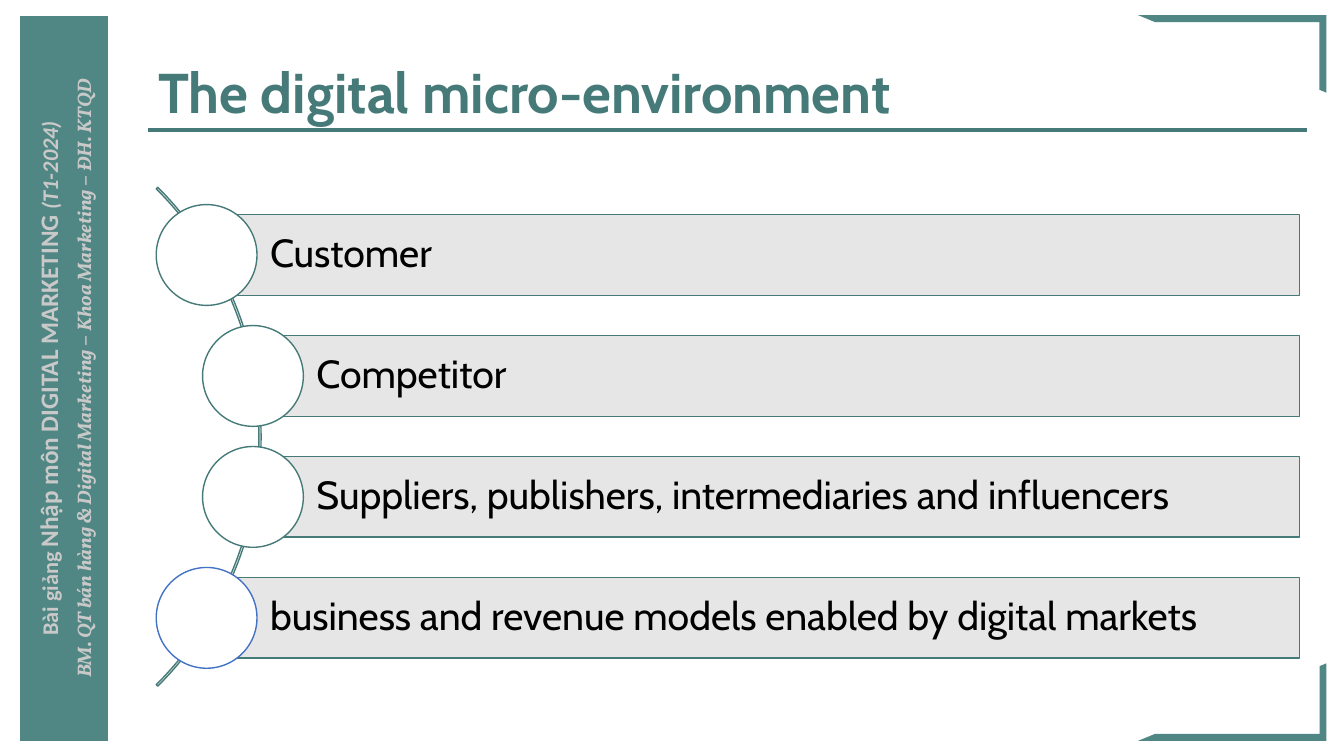
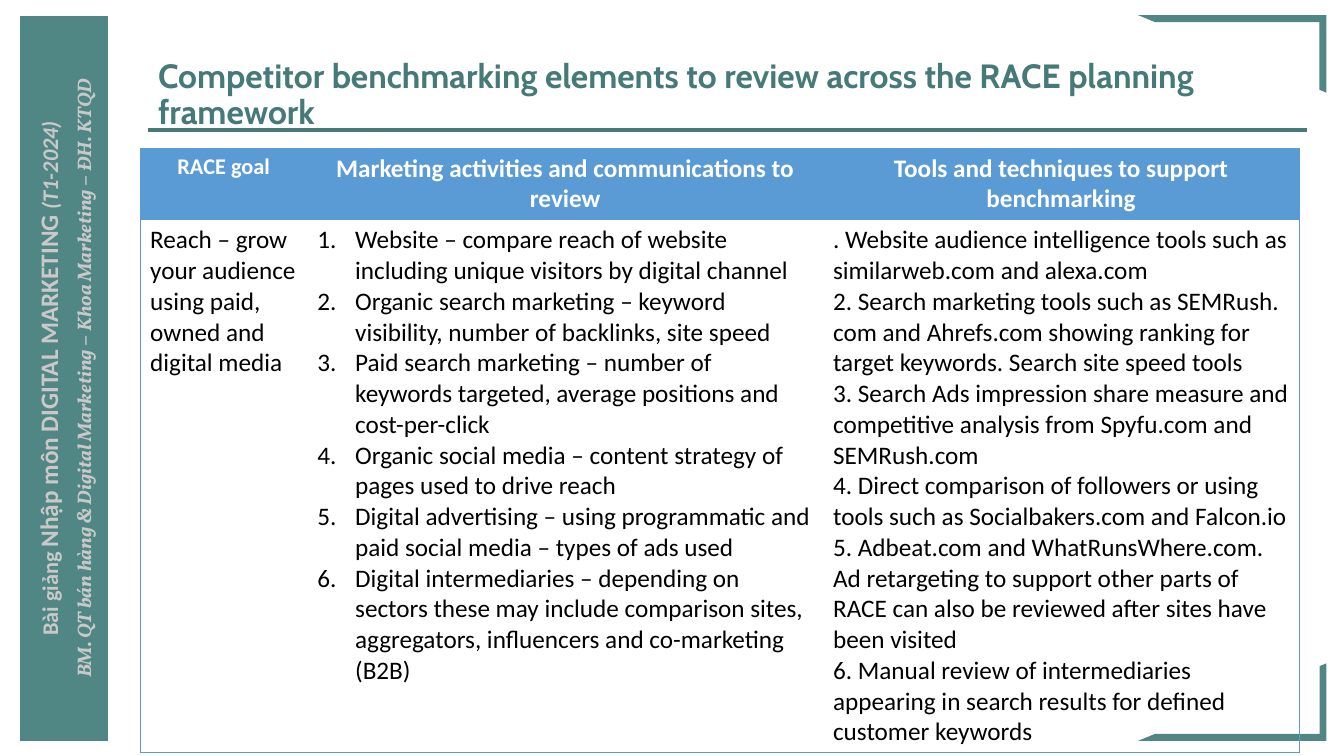
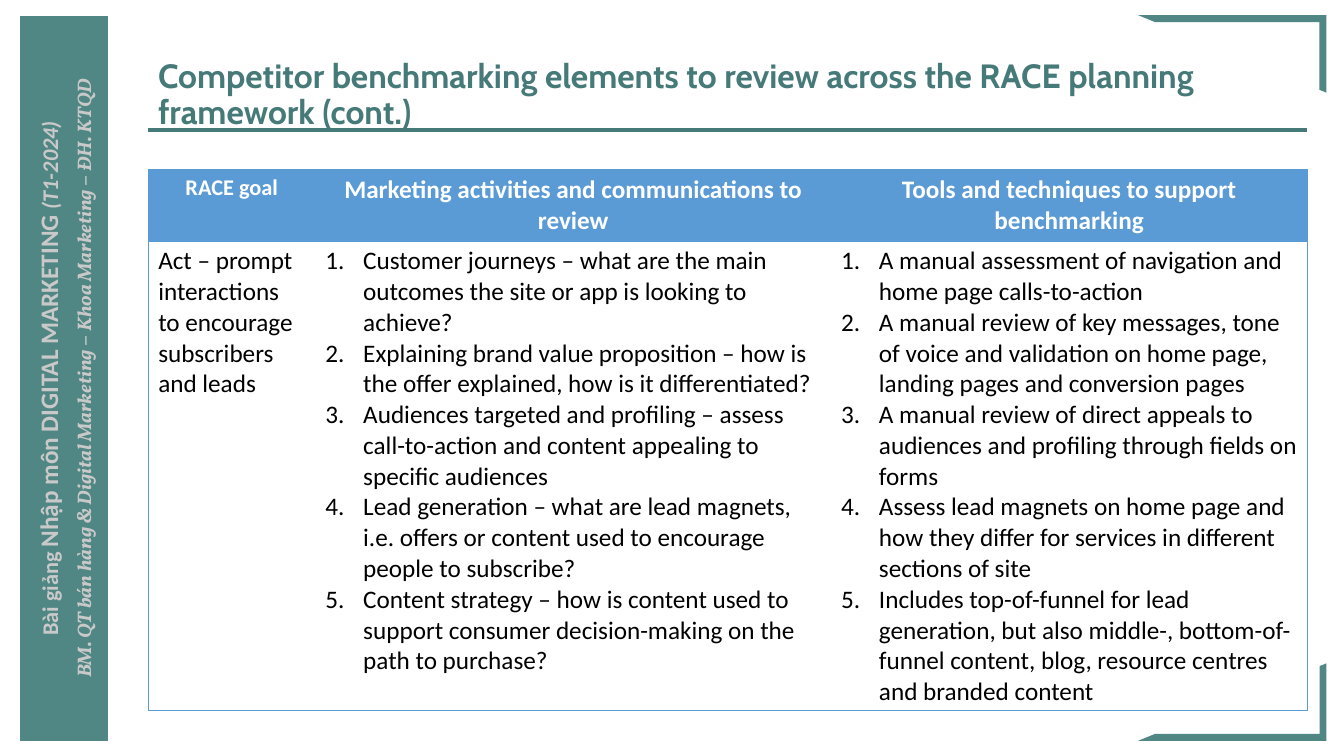
from dataclasses import dataclass
from typing import NamedTuple

from lxml.etree import SubElement
from pptx import Presentation
from pptx.dml.color import RGBColor
from pptx.enum.shapes import MSO_CONNECTOR, MSO_SHAPE
from pptx.enum.text import MSO_ANCHOR, PP_ALIGN
from pptx.oxml import parse_xml
from pptx.oxml.ns import nsdecls, qn
from pptx.shapes.autoshape import Shape
from pptx.slide import Slide
from pptx.table import _Cell as Cell
from pptx.util import Emu, Inches, Pt

GRID_COLUMNS, GRID_ROWS = 160, 90
UNIT = Inches(1) / 12

COLORS = {
    "band": "508784",
    "accent": "467A78",
    "band_text": "C9C9C9",
    "bar": "E7E6E6",
    "last_circle": "4472C4",
    "table": "5B9BD5",
    "white": "FFFFFF",
    "black": "000000",
}


class Box(NamedTuple):
    column: float
    row: float
    columns: float
    rows: float


@dataclass(frozen=True)
class TextStyle:
    size: float
    color: str
    font: str = "Calibri"
    bold: bool = False
    italic: bool = False


@dataclass(frozen=True)
class StyledText:
    text: str
    style: TextStyle


@dataclass(frozen=True)
class Corner:
    row: float
    rotation: float
    flipped: bool


@dataclass(frozen=True)
class Factor:
    text: str
    column: float
    outline: str = "accent"


@dataclass(frozen=True)
class CellText:
    paragraphs: list[str]
    numbered: bool = False


@dataclass(frozen=True)
class Benchmark:
    title: str
    column: float
    row: float
    body_rows: float
    cells: list[CellText]


CONTENT_COLUMN, CONTENT_COLUMNS = 17.64, 138
TITLE_BOX = Box(CONTENT_COLUMN, 4.44, CONTENT_COLUMNS, 13.8)
RULE_ROW = 15.48
BAND_BOX = Box(2.4, 1.92, 10.44, 86.28)
CORNERS = [Corner(78.96, 180, False), Corner(1.8, 0, True)]

BAND_LINES = [
    [
        StyledText("Bài giảng ", TextStyle(16, "band_text", bold=True)),
        StyledText("Nhập môn DIGITAL MARKETING ", TextStyle(18, "band_text", bold=True)),
        StyledText("(T1-2024)", TextStyle(16, "band_text", bold=True, italic=True)),
    ],
    [
        StyledText(
            "BM. QT bán hàng & Digital Marketing – Khoa Marketing – ĐH. KTQD",
            TextStyle(14, "band_text", "Vollkorn", True, True),
        )
    ],
]

ARC_BOX = Box(-52.92, 10, 84, 84)
BAR_RIGHT, BAR_ROW, BAR_ROWS, BAR_STEP = 154.68, 25.56, 9.6, 14.4
CIRCLE = 12
OUTER, INNER = 24.6, 30.12
FACTORS = [
    Factor("Customer", OUTER),
    Factor("Competitor", INNER),
    Factor("Suppliers, publishers, intermediaries and influencers", INNER),
    Factor("business and revenue models enabled by digital markets", OUTER, "last_circle"),
]
FACTOR_STYLE = TextStyle(28, "black", "Cabin")

TABLE_COLUMNS = [19.9, 61.4, 56.7]
HEADER_ROWS = 8.52
NUMBER_INDENT = 4.5
BODY_STYLE = TextStyle(18, "black")
HEADERS = [
    StyledText("RACE goal", TextStyle(16, "white", bold=True)),
    StyledText(
        "Marketing activities and communications to review",
        TextStyle(18, "white", bold=True),
    ),
    StyledText(
        "Tools and techniques to support benchmarking",
        TextStyle(18, "white", bold=True),
    ),
]

BENCHMARKS = [
    Benchmark(
        "Competitor benchmarking elements to review across the RACE planning framework",
        16.68, 17.64, 63.36,
        [
            CellText(["Reach – grow your audience using paid, owned and digital media"]),
            CellText(
                [
                    "Website – compare reach of website including unique visitors by digital channel",
                    "Organic search marketing – keyword visibility, number of backlinks, site speed",
                    "Paid search marketing – number of keywords targeted, average positions and cost-per-click",
                    "Organic social media – content strategy of pages used to drive reach",
                    "Digital advertising – using programmatic and paid social media – types of ads used",
                    "Digital intermediaries – depending on sectors these may include comparison sites, "
                    "aggregators, influencers and co-marketing (B2B)",
                ],
                numbered=True,
            ),
            CellText(
                [
                    ". Website audience intelligence tools such as similarweb.com and alexa.com",
                    "2. Search marketing tools such as SEMRush. com and Ahrefs.com showing ranking "
                    "for target keywords. Search site speed tools",
                    "3. Search Ads impression share measure and competitive analysis from Spyfu.com "
                    "and SEMRush.com",
                    "4. Direct comparison of followers or using tools such as Socialbakers.com and "
                    "Falcon.io 5. Adbeat.com and WhatRunsWhere.com.",
                    "Ad retargeting to support other parts of RACE can also be reviewed after sites "
                    "have been visited",
                    "6. Manual review of intermediaries appearing in search results for defined "
                    "customer keywords",
                ]
            ),
        ],
    ),
    Benchmark(
        "Competitor benchmarking elements to review across the RACE planning framework (cont.)",
        CONTENT_COLUMN, 20.16, 55.92,
        [
            CellText(["Act – prompt interactions\vto encourage subscribers and leads"]),
            CellText(
                [
                    "Customer journeys – what are the main outcomes the site or app is looking to achieve?",
                    "Explaining brand value proposition – how is the offer explained, how is it differentiated?",
                    "Audiences targeted and profiling – assess call-to-action and content appealing "
                    "to specific audiences",
                    "Lead generation – what are lead magnets, i.e. offers or content used to encourage "
                    "people to subscribe?",
                    "Content strategy – how is content used to support consumer decision-making on "
                    "the path to purchase?",
                ],
                numbered=True,
            ),
            CellText(
                [
                    "A manual assessment of navigation and home page calls-to-action",
                    "A manual review of key messages, tone of voice and validation on home page, "
                    "landing pages and conversion pages",
                    "A manual review of direct appeals to audiences and profiling through fields on forms",
                    "Assess lead magnets on home page and how they differ for services in different "
                    "sections of site",
                    "Includes top-of-funnel for lead generation, but also middle-, bottom-of-funnel "
                    "content, blog, resource centres and branded content",
                ],
                numbered=True,
            ),
        ],
    ),
]


def units(count: float) -> Emu:
    return Emu(round(count * UNIT))


def place(box: Box) -> list[Emu]:
    return [units(length) for length in box]


def rgb(name: str) -> RGBColor:
    return RGBColor.from_string(COLORS[name])


def style_run(run, style: TextStyle) -> None:
    font = run.font
    font.name = style.font
    font.size = Pt(style.size)
    font.bold = style.bold
    font.italic = style.italic
    font.color.rgb = rgb(style.color)


def style_paragraph(paragraph, style: TextStyle) -> None:
    for run in paragraph.runs:
        style_run(run, style)


def add_shape(
    slide: Slide, kind: MSO_SHAPE, box: Box, fill: str | None, outline: str | None = None
) -> Shape:
    shape = slide.shapes.add_shape(kind, *place(box))
    shape.shadow.inherit = False
    if fill:
        shape.fill.solid()
        shape.fill.fore_color.rgb = rgb(fill)
    else:
        shape.fill.background()
    if outline:
        shape.line.color.rgb = rgb(outline)
        shape.line.width = Pt(1)
    else:
        shape.line.fill.background()
    return shape


def add_band(slide: Slide) -> None:
    band = add_shape(slide, MSO_SHAPE.RECTANGLE, BAND_BOX, "band")
    band.element.txBody.bodyPr.set("vert", "vert270")
    frame = band.text_frame
    frame.word_wrap = True
    frame.vertical_anchor = MSO_ANCHOR.MIDDLE
    for index, line in enumerate(BAND_LINES):
        paragraph = frame.add_paragraph() if index else frame.paragraphs[0]
        paragraph.alignment = PP_ALIGN.CENTER
        if index:
            paragraph.space_before = Pt(6)
        for part in line:
            run = paragraph.add_run()
            run.text = part.text
            style_run(run, part.style)


def add_corner(slide: Slide, corner: Corner) -> None:
    shape = add_shape(
        slide, MSO_SHAPE.HALF_FRAME, Box(135.48, corner.row, 22.44, 9.24), "band"
    )
    shape.adjustments[0] = 0.09
    shape.adjustments[1] = 0.09
    shape.rotation = corner.rotation
    if corner.flipped:
        shape.element.spPr.xfrm.set("flipH", "1")


def add_title(slide: Slide, title: str, size: float) -> None:
    rule = slide.shapes.add_connector(
        MSO_CONNECTOR.STRAIGHT,
        units(CONTENT_COLUMN),
        units(RULE_ROW),
        units(CONTENT_COLUMN + CONTENT_COLUMNS),
        units(RULE_ROW),
    )
    rule.line.color.rgb = rgb("accent")
    rule.line.width = Pt(2.25)
    SubElement(rule.element.spPr, qn("a:effectLst"))

    frame = slide.shapes.add_textbox(*place(TITLE_BOX)).text_frame
    frame.word_wrap = True
    frame.vertical_anchor = MSO_ANCHOR.MIDDLE
    frame.text = title
    paragraph = frame.paragraphs[0]
    paragraph.line_spacing = 0.9
    style_paragraph(paragraph, TextStyle(size, "accent", "Cabin", True))


def add_slide(presentation, title: str, title_size: float) -> Slide:
    slide = presentation.slides.add_slide(presentation.slide_layouts[6])
    add_band(slide)
    for corner in CORNERS:
        add_corner(slide, corner)
    add_title(slide, title, title_size)
    return slide


def add_factor(slide: Slide, factor: Factor, row: float) -> None:
    bar_box = Box(factor.column, row, BAR_RIGHT - factor.column, BAR_ROWS)
    bar = add_shape(slide, MSO_SHAPE.RECTANGLE, bar_box, "bar", "accent")
    frame = bar.text_frame
    frame.word_wrap = True
    frame.vertical_anchor = MSO_ANCHOR.MIDDLE
    frame.margin_left = units(7.56)
    frame.margin_right = frame.margin_top = frame.margin_bottom = units(1)
    frame.text = factor.text
    paragraph = frame.paragraphs[0]
    paragraph.alignment = PP_ALIGN.LEFT
    paragraph.line_spacing = 0.9
    style_paragraph(paragraph, FACTOR_STYLE)

    circle_box = Box(
        factor.column - CIRCLE / 2, row + (BAR_ROWS - CIRCLE) / 2, CIRCLE, CIRCLE
    )
    add_shape(slide, MSO_SHAPE.OVAL, circle_box, "white", factor.outline)


def add_factors(slide: Slide) -> None:
    arc = add_shape(slide, MSO_SHAPE.BLOCK_ARC, ARC_BOX, None, "accent")
    for index, value in enumerate([189, 27, 0.003]):
        arc.adjustments[index] = value
    for index, factor in enumerate(FACTORS):
        add_factor(slide, factor, BAR_ROW + index * BAR_STEP)


def set_borders(cell: Cell, sides: str) -> None:
    properties = cell._tc.get_or_add_tcPr()
    for position, side in enumerate("LRTB"):
        if side in sides:
            color = COLORS["table"]
            paint = f'<a:solidFill><a:srgbClr val="{color}"/></a:solidFill>'
        else:
            paint = "<a:noFill/>"
        border = f'<a:ln{side} {nsdecls("a")} w="{Pt(0.5)}">{paint}</a:ln{side}>'
        properties.insert(position, parse_xml(border))


def number_paragraph(paragraph) -> None:
    properties = paragraph._p.get_or_add_pPr()
    properties.set("marL", str(units(NUMBER_INDENT)))
    properties.set("indent", str(units(-NUMBER_INDENT)))
    SubElement(properties, qn("a:buFont"), typeface="+mj-lt")
    SubElement(properties, qn("a:buAutoNum"), type="arabicPeriod")


def fill_header(cell: Cell, header: StyledText) -> None:
    cell.fill.solid()
    cell.fill.fore_color.rgb = rgb("table")
    cell.text_frame.text = header.text
    paragraph = cell.text_frame.paragraphs[0]
    paragraph.alignment = PP_ALIGN.CENTER
    style_paragraph(paragraph, header.style)


def fill_body(cell: Cell, content: CellText) -> None:
    cell.fill.background()
    frame = cell.text_frame
    for index, text in enumerate(content.paragraphs):
        paragraph = frame.add_paragraph() if index else frame.paragraphs[0]
        paragraph.text = text
        if content.numbered:
            number_paragraph(paragraph)
        style_paragraph(paragraph, BODY_STYLE)


def add_benchmark(slide: Slide, benchmark: Benchmark) -> None:
    heights = [HEADER_ROWS, benchmark.body_rows]
    box = Box(benchmark.column, benchmark.row, sum(TABLE_COLUMNS), sum(heights))
    table = slide.shapes.add_table(2, len(TABLE_COLUMNS), *place(box)).table
    table.first_row = table.horz_banding = False
    for row, height in zip(table.rows, heights):
        row.height = units(height)
    for index, width in enumerate(TABLE_COLUMNS):
        table.columns[index].width = units(width)
        fill_header(table.cell(0, index), HEADERS[index])
        fill_body(table.cell(1, index), benchmark.cells[index])
        edge = {0: "L", len(TABLE_COLUMNS) - 1: "R"}.get(index, "")
        for row in range(2):
            set_borders(table.cell(row, index), edge + "TB")


def main() -> None:
    presentation = Presentation()
    presentation.slide_width = units(GRID_COLUMNS)
    presentation.slide_height = units(GRID_ROWS)
    add_factors(add_slide(presentation, "The digital micro-environment", 40))
    for benchmark in BENCHMARKS:
        add_benchmark(add_slide(presentation, benchmark.title, 24), benchmark)
    presentation.save("out.pptx")


if __name__ == "__main__":
    main()
